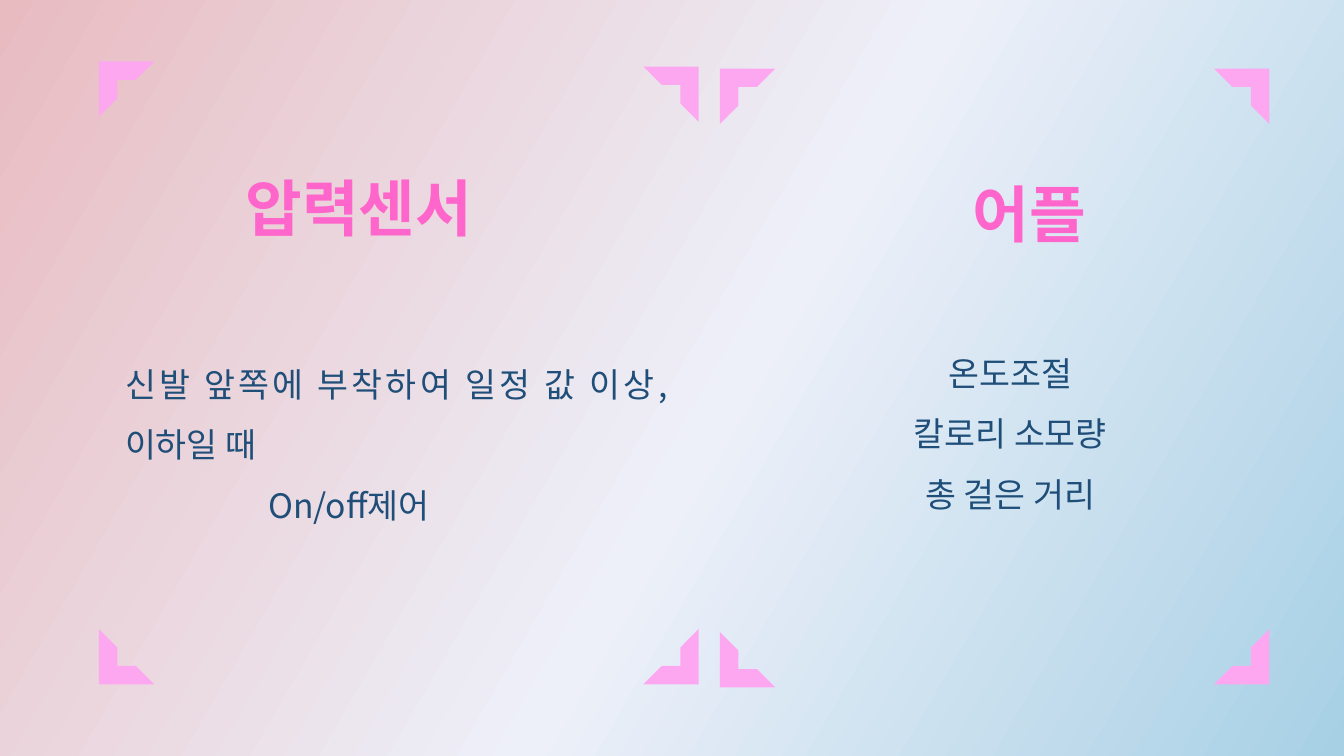
from copy import deepcopy

from pptx import Presentation
from pptx.dml.color import RGBColor
from pptx.enum.shapes import MSO_SHAPE as Shape
from pptx.enum.text import MSO_ANCHOR as Anchor, MSO_AUTO_SIZE as AutoSize, PP_ALIGN as Align
from pptx.oxml.ns import qn
from pptx.oxml.xmlchemy import OxmlElement
from pptx.util import Inches, Pt

FONT = "Noto Sans CJK KR"
HEADING = RGBColor(0xFF, 0x66, 0xCC)
BODY = RGBColor(0x1F, 0x4E, 0x79)
CORNER = RGBColor(0xFD, 0xA7, 0xF1)
BACKGROUND = [
    (0, RGBColor(0xE8, 0xBB, 0xC1)),
    (0.54, RGBColor(0xED, 0xF0, 0xF9)),
    (1, RGBColor(0xA7, 0xD0, 0xE5)),
]

SENSOR = ["압력센서"]
SENSOR_LINES = ["신발 앞쪽에 부착하여 일정 값 이상,이하일 때", "On/off제어"]
APP = ["어플"]
APP_LINES = ["온도조절", "칼로리 소모량", "총 걸은 거리"]

CORNER_SIZE = 0.55
FRAMES = [
    {"left": 0.98, "right": 6.38, "tops": (0.61, 0.66, 6.24, 6.24)},
    {"left": 7.14, "right": 12.04, "tops": (0.68, 0.68, 6.24, 6.27)},
]


def write(holder, lines, area, size, color, align, bold=False, spacing=1.0, indents=()):
    """Place a placeholder and fill it with formatted paragraphs."""
    holder.left, holder.top, holder.width, holder.height = map(Inches, area)
    box = holder.text_frame
    box.word_wrap = True
    box.auto_size = AutoSize.NONE
    box.vertical_anchor = Anchor.TOP
    for index, line in enumerate(lines):
        para = box.paragraphs[0] if index == 0 else box.add_paragraph()
        para.alignment = align
        para.line_spacing = spacing
        para.space_before = para.space_after = Pt(0)
        props = para._p.get_or_add_pPr()
        props.set("marL", str(Inches(indents[index] if indents else 0)))
        props.set("indent", "0")
        props.append(OxmlElement("a:buNone"))
        span = para.add_run()
        span.text = line
        font = span.font
        font.name, font.size, font.bold = FONT, Pt(size), bold
        font.color.rgb = color
        east_asian = OxmlElement("a:ea")
        east_asian.set("typeface", FONT)
        font._element.find(qn("a:latin")).addnext(east_asian)


def paint_background(page):
    """Give the page its three-stop diagonal gradient."""
    fill = page.background.fill
    fill.gradient()
    fill.gradient_angle = 330
    stops = page.element.find(".//" + qn("a:gsLst"))
    stops.append(deepcopy(stops[-1]))
    for stop, (position, color) in zip(fill.gradient_stops, BACKGROUND):
        stop.position = position
        stop.color.rgb = color


def add_frame(page, left, right, tops):
    """Draw four corners clockwise from the top left."""
    size = Inches(CORNER_SIZE)
    for turn, (x, y) in enumerate(zip((left, right, right, left), tops)):
        corner = page.shapes.add_shape(Shape.HALF_FRAME, Inches(x), Inches(y), size, size)
        corner.rotation = 90 * turn
        corner.shadow.inherit = False
        corner.fill.solid()
        corner.fill.fore_color.rgb = CORNER
        corner.line.fill.background()


def main():
    """Build and save the slide."""
    deck = Presentation()
    deck.slide_width, deck.slide_height = Inches(13.33), Inches(7.5)
    page = deck.slides.add_slide(deck.slide_layouts.get_by_name("Comparison"))
    paint_background(page)
    for frame in FRAMES:
        add_frame(page, **frame)

    holders = {holder.placeholder_format.idx: holder for holder in page.placeholders}
    heading = {"size": 44, "color": HEADING, "align": Align.CENTER, "bold": True}
    body = {"size": 24, "color": BODY, "spacing": 1.5}
    write(holders[0], SENSOR, (1.67, 1.72, 3.78, 0.81), spacing=0.9, **heading)
    write(holders[1], APP, (8.47, 1.7, 3.48, 0.84), **heading)
    write(holders[2], SENSOR_LINES, (1.14, 3.36, 5.58, 2.3),
          align=Align.JUSTIFY, indents=(0, 1.42), **body)
    write(holders[4], APP_LINES, (7.92, 3.25, 4.2, 2.52), align=Align.CENTER, **body)
    unused = holders[3].element
    unused.getparent().remove(unused)
    deck.save("out.pptx")


if __name__ == "__main__":
    main()
